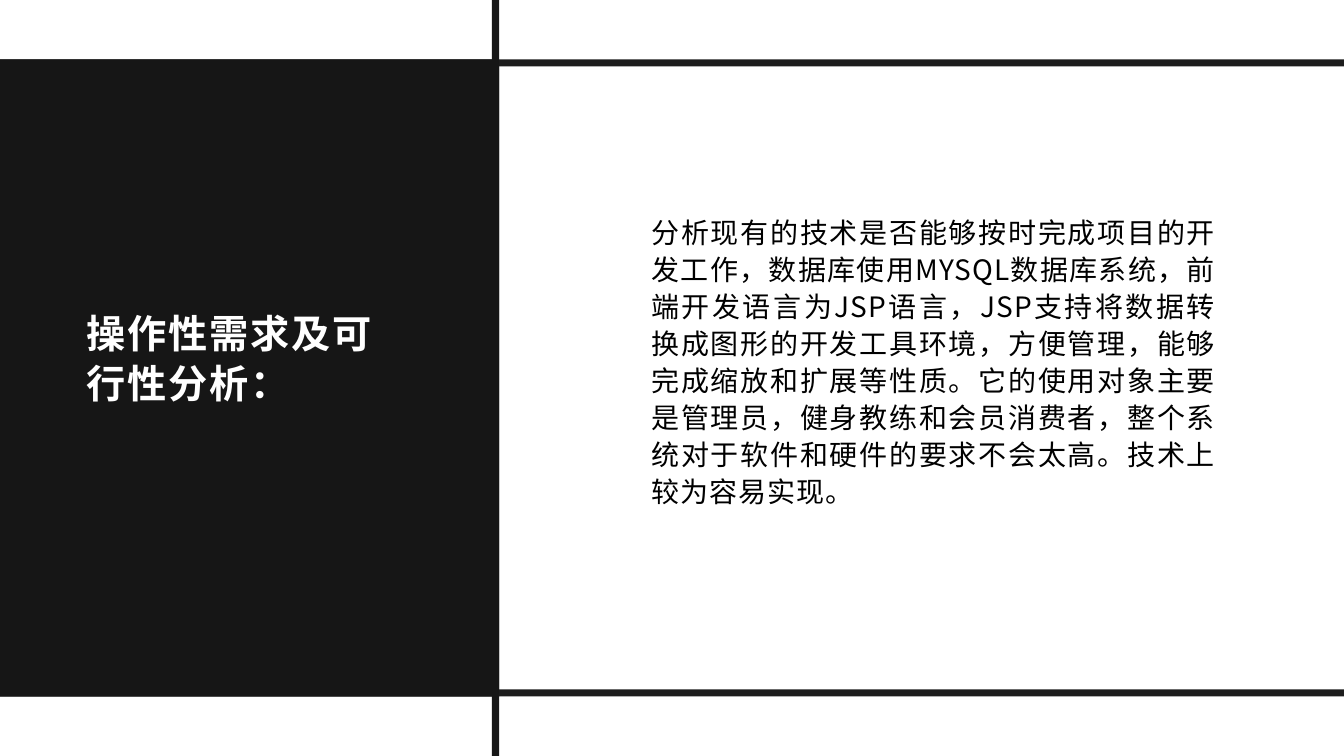
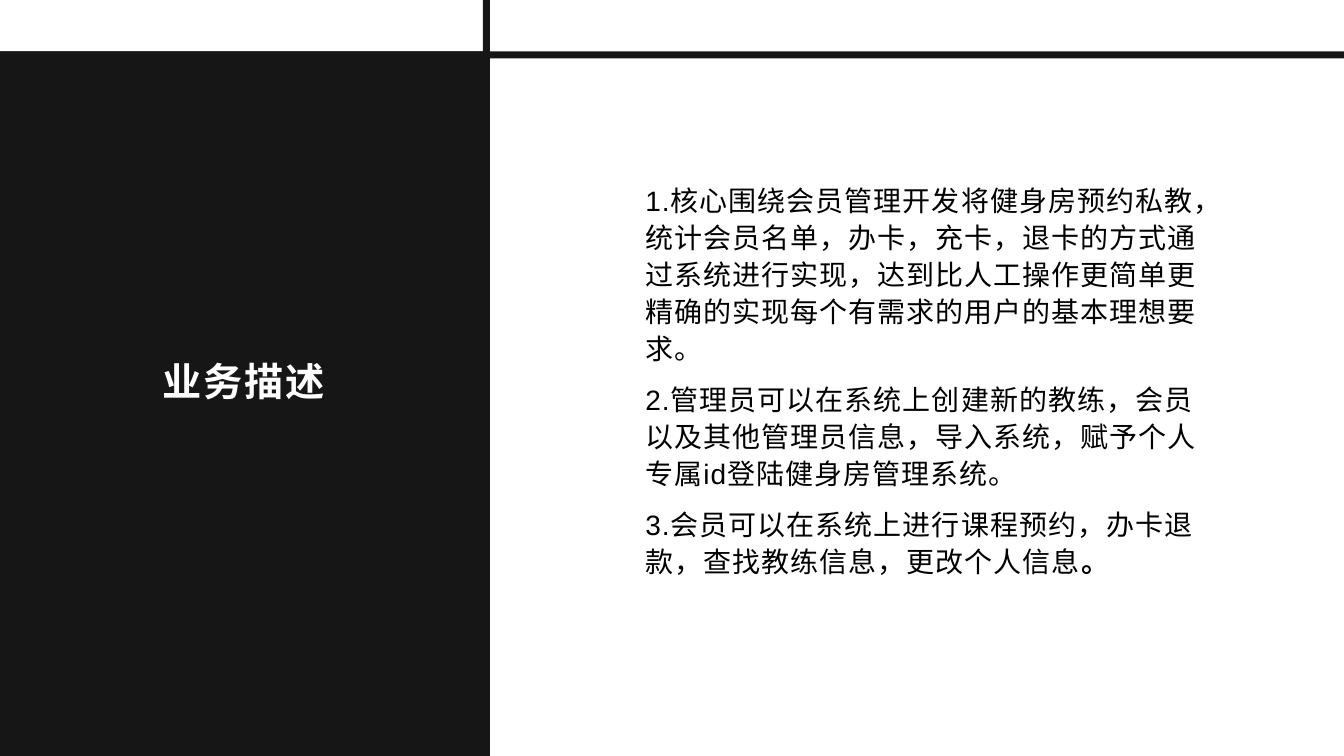
from dataclasses import dataclass

from lxml.etree import SubElement
from pptx import Presentation
from pptx.dml.color import RGBColor
from pptx.enum.shapes import MSO_SHAPE as Shape
from pptx.enum.text import MSO_ANCHOR as Anchor, MSO_AUTO_SIZE as AutoSize, PP_ALIGN as Align
from pptx.oxml.ns import qn
from pptx.util import Inches, Pt


@dataclass(frozen=True)
class TextStyle:
    size: float
    line: float
    tracking: int  # hundredths of a point
    color: RGBColor
    bold: bool = False


class Theme:
    paper = RGBColor(255, 255, 255)
    ink = RGBColor(0x16, 0x16, 0x16)
    latin = "Arial"
    chinese = "Noto Sans CJK SC"
    title = TextStyle(28, 35.7, 130, paper, True)
    body = TextStyle(20, 26.4, 70, RGBColor(0, 0, 0))
    paragraph_gap = Pt(10)


PAGE_W, PAGE_H = 13.33, 7.5
BAR = 0.07


@dataclass(frozen=True)
class Box:
    left: float
    top: float
    width: float
    height: float

    def lengths(self):
        return [Inches(v) for v in (self.left, self.top, self.width, self.height)]


def add_block(page, box, opacity=100):
    """Plain dark rectangle, used for panels and bars."""
    block = page.shapes.add_shape(Shape.RECTANGLE, *box.lengths())
    block.shadow.inherit = False
    block.fill.solid()
    block.fill.fore_color.rgb = Theme.ink
    block.line.fill.background()
    if opacity < 100:
        color = block.fill._xPr.find(qn("a:solidFill"))[0]
        SubElement(color, qn("a:alpha"), val=str(opacity * 1000))


def add_frame(page, panel, bar_tops, opacity=100):
    """Dark panel with crossing bars; the upright bar follows its right edge."""
    add_block(page, panel)
    for top in bar_tops:
        add_block(page, Box(0, top, PAGE_W, BAR), opacity)
    add_block(page, Box(panel.left + panel.width - BAR, 0, BAR, PAGE_H))


def style_span(span, style, latin, bold=None):
    font = span.font
    font.name = latin
    font.size = Pt(style.size)
    font.bold = style.bold if bold is None else bold
    font.color.rgb = style.color
    properties = font._element
    properties.set("spc", str(style.tracking))
    properties.set("lang", "zh-CN")
    SubElement(properties, qn("a:ea"), typeface=Theme.chinese)


def fill_text(shape, paragraphs, style, latin, align):
    """Write paragraphs into a vertically centred text shape."""
    frame = shape.text_frame
    frame.word_wrap = True
    frame.auto_size = AutoSize.NONE
    frame.vertical_anchor = Anchor.MIDDLE
    frame.margin_left = frame.margin_right = frame.margin_top = Inches(0.12)
    frame.margin_bottom = Inches(0.1)
    frame.text = "\n".join(paragraphs)
    for index, para in enumerate(frame.paragraphs):
        para.alignment = align
        para.line_spacing = Pt(style.line)
        para.space_before = Theme.paragraph_gap if index else Pt(0)
        for span in para.runs:
            style_span(span, style, latin)
    return frame


def add_title(page, box, text, latin, align):
    title = page.shapes.title
    title.left, title.top, title.width, title.height = box.lengths()
    fill_text(title, [text], Theme.title, latin, align)
    # Bring the title in front of the panel
    page.shapes._spTree.append(title._element)


def add_body(page, box, paragraphs, latin, align=Align.LEFT):
    body = page.shapes.add_textbox(*box.lengths())
    return fill_text(body, paragraphs, Theme.body, latin, align)


def add_page(deck):
    page = deck.slides.add_slide(deck.slide_layouts[5])
    page.background.fill.solid()
    page.background.fill.fore_color.rgb = Theme.paper
    return page


def feasibility_page(deck):
    page = add_page(deck)
    panel = Box(0, 0.59, 4.95, 6.32)
    bottom_bar = panel.top + panel.height - BAR
    add_frame(page, panel, [panel.top, bottom_bar], opacity=97)
    add_title(page, Box(0.74, 1.37, 3.39, 4.31), "操作性需求及可行性分析：",
              Theme.latin, Align.LEFT)
    add_body(page, Box(6.34, 1.41, 5.84, 4.31), [
        "分析现有的技术是否能够按时完成项目的开发工作，数据库使用MYSQL数据库系统，"
        "前端开发语言为JSP语言，JSP支持将数据转换成图形的开发工具环境，方便管理，"
        "能够完成缩放和扩展等性质。它的使用对象主要是管理员，健身教练和会员消费者，"
        "整个系统对于软件和硬件的要求不会太高。技术上较为容易实现。",
    ], Theme.chinese, Align.JUSTIFY)


def business_page(deck):
    page = add_page(deck)
    panel = Box(0, 0.51, 4.86, 6.99)
    add_frame(page, panel, [panel.top])
    add_title(page, Box(0.66, 0.84, 3.51, 5.82), "业务描述", Theme.chinese, Align.CENTER)
    frame = add_body(page, Box(6.28, 0.84, 5.78, 5.82), [
        "1.核心围绕会员管理开发将健身房预约私教，统计会员名单，办卡，充卡，退卡的方式"
        "通过系统进行实现，达到比人工操作更简单更精确的实现每个有需求的用户的基本理想要求。",
        "2.管理员可以在系统上创建新的教练，会员以及其他管理员信息，导入系统，"
        "赋予个人专属id登陆健身房管理系统。",
        "3.会员可以在系统上进行课程预约，办卡退款，查找教练信息，更改个人信息",
    ], Theme.latin)
    # Bold closing full stop
    full_stop = frame.paragraphs[-1].add_run()
    full_stop.text = "。"
    style_span(full_stop, Theme.body, Theme.chinese, bold=True)


def main():
    deck = Presentation()
    deck.slide_width, deck.slide_height = Inches(PAGE_W), Inches(PAGE_H)
    feasibility_page(deck)
    business_page(deck)
    deck.save("out.pptx")


if __name__ == "__main__":
    main()
